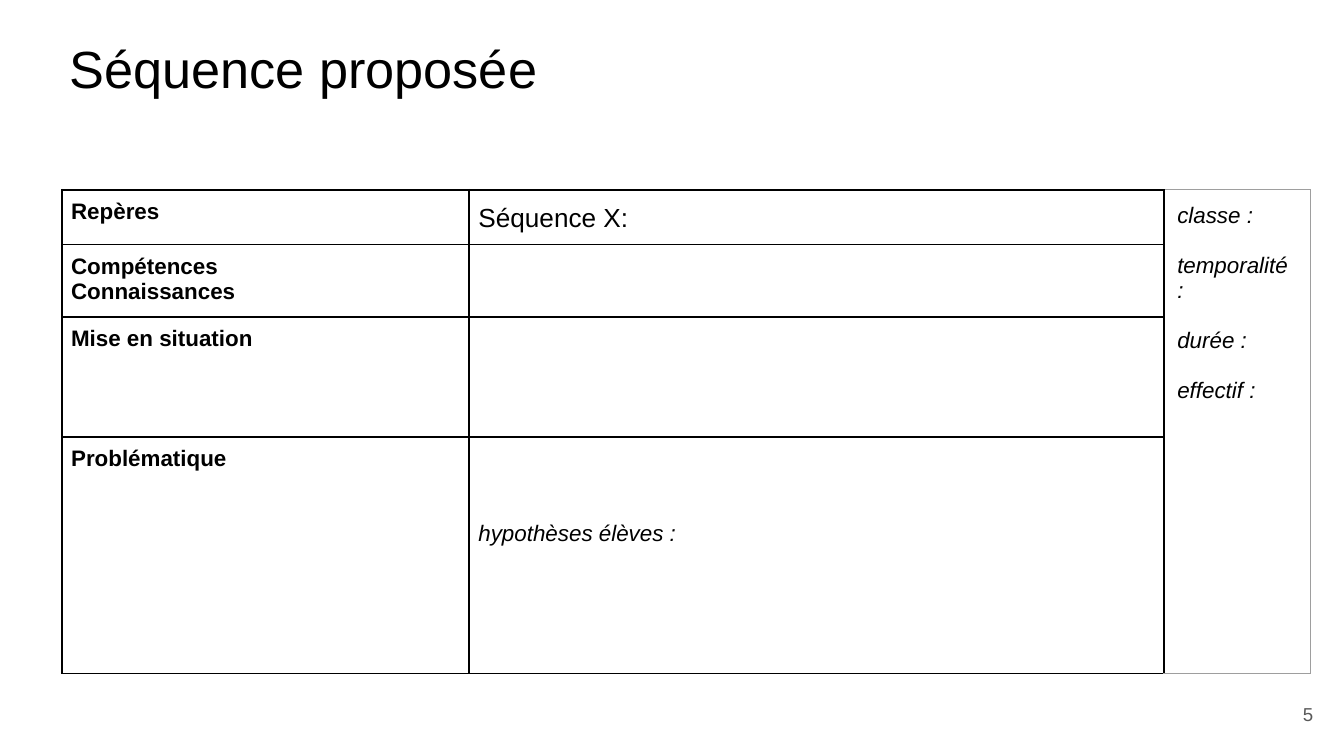
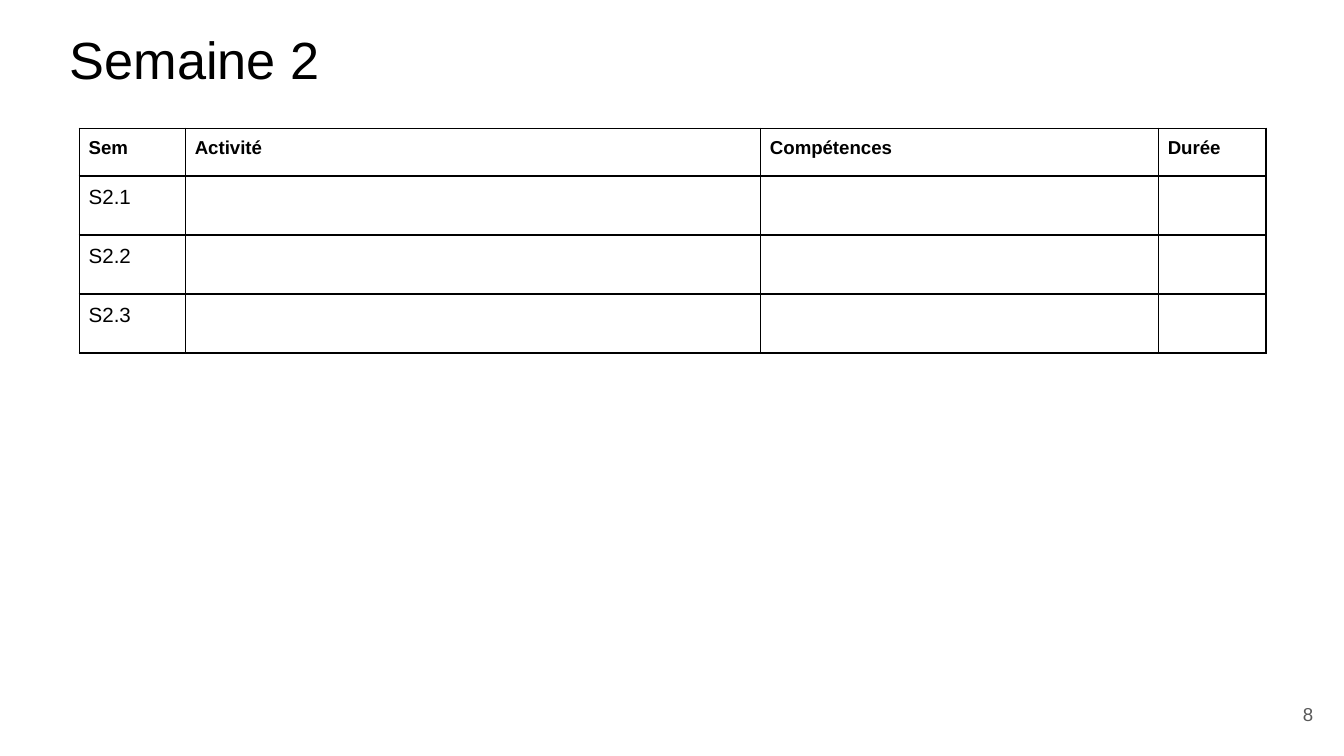
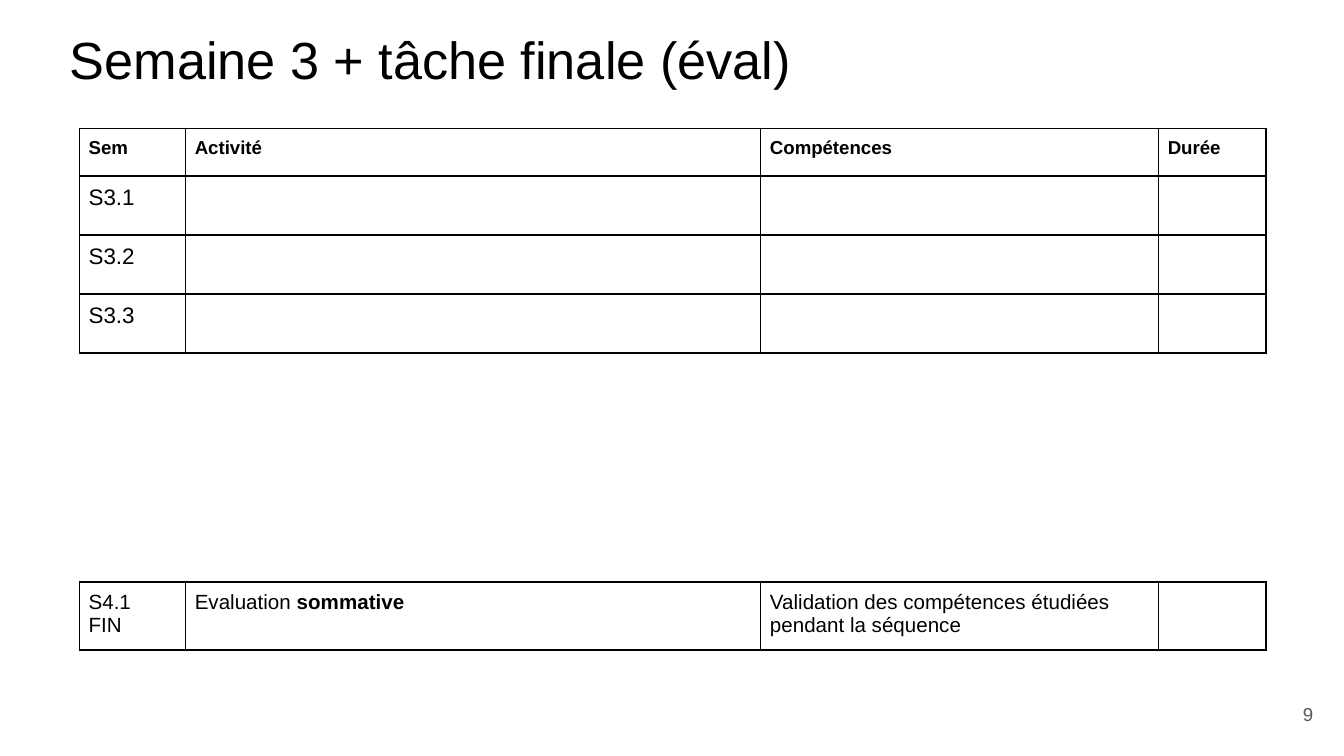
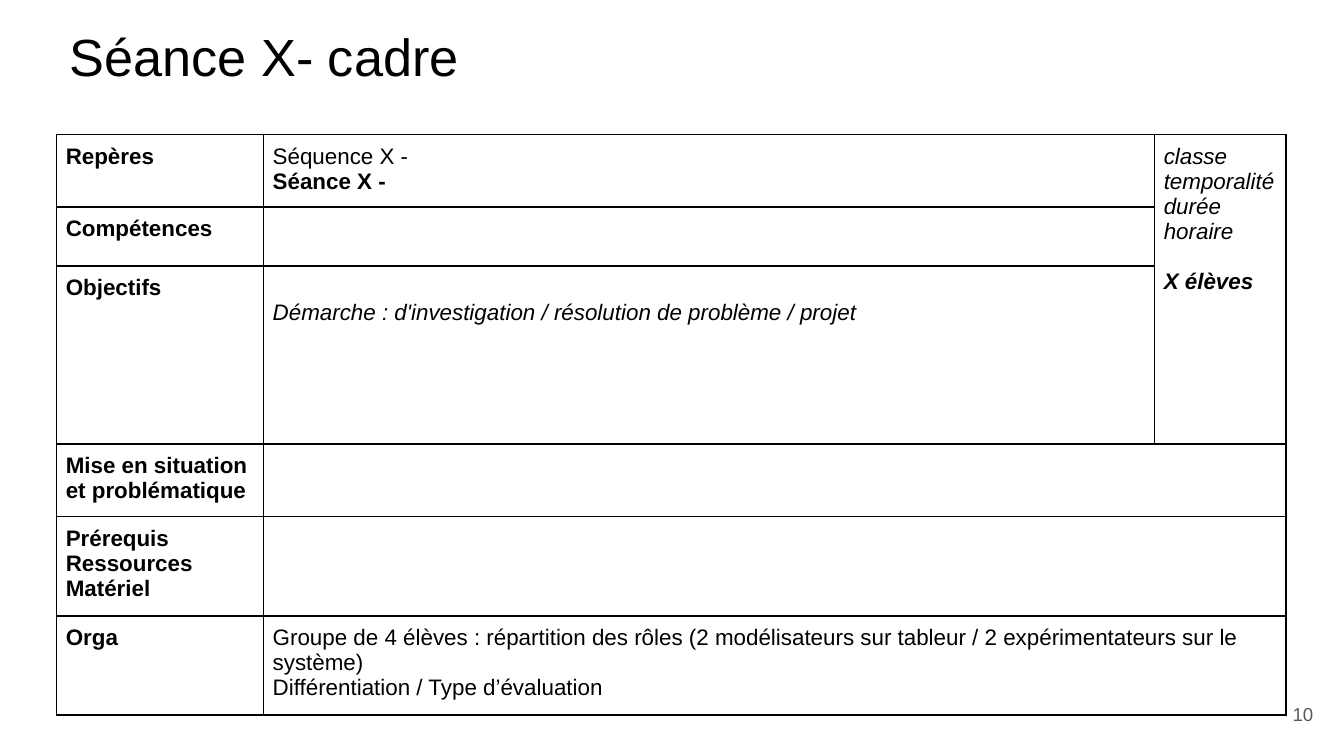
from dataclasses import dataclass

from lxml import etree
from pptx import Presentation
from pptx.dml.color import RGBColor
from pptx.enum.text import MSO_ANCHOR, PP_ALIGN
from pptx.oxml.ns import qn
from pptx.util import Inches, Pt

LEFT = PP_ALIGN.LEFT
RIGHT = PP_ALIGN.RIGHT
TOP = MSO_ANCHOR.TOP
MIDDLE = MSO_ANCHOR.MIDDLE

SLIDE_WIDTH = Inches(10)
SLIDE_HEIGHT = Inches(5.625)
BLANK_LAYOUT = 6


@dataclass(frozen=True)
class Theme:
    font: str = "Arial"
    ink: str = "000000"
    muted: str = "595959"
    pale_line: str = "9E9E9E"
    background: str = "FFFFFF"
    title: float = 28
    lead: float = 14
    body: float = 12
    small: float = 11
    caption: float = 10
    line: float = 1
    thin_line: float = 0.75
    cell_inset: float = 5
    box_inset: float = 7.2
    body_line: float = 13.4


THEME = Theme()


@dataclass(frozen=True)
class Run:
    text: str
    bold: bool = False
    italic: bool = False


@dataclass(frozen=True)
class Line:
    """One paragraph; gap is the space before it, in points."""
    runs: tuple[Run, ...]
    size: float = THEME.body
    gap: float = 0
    spacing: float = 1
    color: str = THEME.ink
    align: PP_ALIGN = LEFT


@dataclass(frozen=True)
class Cell:
    """Table cell; drop lowers its text by some points."""
    lines: tuple[Line, ...] = ()
    row_span: int = 1
    column_span: int = 1
    inset: float = THEME.cell_inset
    drop: float = 0
    pale: bool = False


@dataclass(frozen=True)
class Area:
    """Place in percent of the slide's width and height."""
    left: float
    top: float
    width: float
    height: float


@dataclass(frozen=True)
class Grid:
    """Table with sizes in percent of the slide; cells are keyed by row and column."""
    left: float
    top: float
    columns: tuple[float, ...]
    rows: tuple[float, ...]
    cells: dict[tuple[int, int], Cell]


@dataclass(frozen=True)
class Page:
    title: str
    title_top: float
    number: int
    grids: tuple[Grid, ...]


def across(percent: float) -> int:
    return round(SLIDE_WIDTH * percent / 100)


def down(percent: float) -> int:
    return round(SLIDE_HEIGHT * percent / 100)


def plain(text: str, size: float = THEME.body, gap: float = 0, spacing: float = 1) -> Line:
    return Line((Run(text),), size, gap, spacing)


def strong(text: str, size: float = THEME.body) -> Line:
    return Line((Run(text, bold=True),), size)


def slanted(text: str, gap: float = 0, bold: bool = False) -> Line:
    return Line((Run(text, bold, True),), gap=gap)


def label_column(*labels: tuple[str, ...]) -> dict[tuple[int, int], Cell]:
    return {(row, 0): Cell(tuple(map(strong, texts))) for row, texts in enumerate(labels)}


def write_lines(frame, lines: tuple[Line, ...]) -> None:
    for index, line in enumerate(lines):
        paragraph = frame.add_paragraph() if index else frame.paragraphs[0]
        paragraph.alignment = line.align
        paragraph.line_spacing = line.spacing
        paragraph.space_before = Pt(line.gap)
        for part in line.runs:
            run = paragraph.add_run()
            run.text = part.text
            run.font.name = THEME.font
            run.font.size = Pt(line.size)
            run.font.bold = part.bold
            run.font.italic = part.italic
            run.font.color.rgb = RGBColor.from_string(line.color)


def set_insets(target, inset: float, drop: float = 0) -> None:
    target.margin_left = target.margin_right = target.margin_bottom = Pt(inset)
    target.margin_top = Pt(inset + drop)


def add_text(slide, area: Area, line: Line, anchor: MSO_ANCHOR = TOP) -> None:
    box = slide.shapes.add_textbox(
        across(area.left), down(area.top), across(area.width), down(area.height))
    frame = box.text_frame
    frame.word_wrap = True
    frame.vertical_anchor = anchor
    set_insets(frame, THEME.box_inset)
    write_lines(frame, (line,))


def draw_borders(cell, pale: bool) -> None:
    """Border all four sides; a pale cell keeps a dark left side only."""
    properties = cell._tc.get_or_add_tcPr()
    for position, side in enumerate(("lnL", "lnR", "lnT", "lnB")):
        light = pale and side != "lnL"
        border = etree.Element(qn(f"a:{side}"))
        border.set("w", str(Pt(THEME.thin_line if light else THEME.line)))
        fill = etree.SubElement(border, qn("a:solidFill"))
        color = etree.SubElement(fill, qn("a:srgbClr"))
        color.set("val", THEME.pale_line if light else THEME.ink)
        properties.insert(position, border)


def add_grid(slide, grid: Grid) -> None:
    table = slide.shapes.add_table(
        len(grid.rows), len(grid.columns), across(grid.left), down(grid.top),
        across(sum(grid.columns)), down(sum(grid.rows))).table
    table.first_row = table.horz_banding = False
    for column, width in zip(table.columns, grid.columns):
        column.width = across(width)
    for row, height in zip(table.rows, grid.rows):
        row.height = down(height)

    pale_places = set()
    for (row, column), content in grid.cells.items():
        cell = table.cell(row, column)
        last_row = row + content.row_span - 1
        last_column = column + content.column_span - 1
        if (last_row, last_column) != (row, column):
            cell.merge(table.cell(last_row, last_column))
        if content.pale:
            pale_places |= {(place, column) for place in range(row, last_row + 1)}

    for row in range(len(grid.rows)):
        for column in range(len(grid.columns)):
            cell = table.cell(row, column)
            content = grid.cells.get((row, column), Cell())
            cell.fill.background()
            set_insets(cell, content.inset, content.drop)
            draw_borders(cell, (row, column) in pale_places)
            write_lines(cell.text_frame, content.lines)


def add_page(presentation, page: Page) -> None:
    slide = presentation.slides.add_slide(presentation.slide_layouts[BLANK_LAYOUT])
    slide.background.fill.solid()
    slide.background.fill.fore_color.rgb = RGBColor.from_string(THEME.background)
    add_text(slide, Area(4.2, page.title_top, 91.5, 13.33), plain(page.title, THEME.title))
    for grid in page.grids:
        add_grid(slide, grid)
    number = Line((Run(str(page.number)),), THEME.caption, color=THEME.muted, align=RIGHT)
    add_text(slide, Area(92.7, 90.67, 6, 7.65), number, MIDDLE)


WEEK_LEFT = 5.9
WEEK_COLUMNS = (7.9, 42.8, 29.6, 8)
WEEK_HEADINGS = ("Sem", "Activité", "Compétences", "Durée")
SESSIONS_PER_WEEK = 3


def week_grid(week: int, session_size: float) -> Grid:
    cells = {(0, column): Cell((strong(heading, THEME.caption),))
             for column, heading in enumerate(WEEK_HEADINGS)}
    for session in range(1, SESSIONS_PER_WEEK + 1):
        cells[session, 0] = Cell((plain(f"S{week}.{session}", session_size),))
    return Grid(WEEK_LEFT, 17, WEEK_COLUMNS, (6.3,) + (7.47,) * SESSIONS_PER_WEEK, cells)


def sequence_grid() -> Grid:
    cells = label_column(("Repères",), ("Compétences", "Connaissances"),
                         ("Mise en situation",), ("Problématique",))
    details = ("classe :", "temporalité :", "durée :", "effectif :")
    cells[0, 1] = Cell((plain("Séquence X:", THEME.lead, spacing=1.15),))
    cells[0, 2] = Cell(
        tuple(slanted(text, THEME.body_line if index else 0)
              for index, text in enumerate(details)),
        row_span=4, inset=THEME.box_inset, pale=True)
    cells[3, 1] = Cell((slanted("hypothèses élèves :"),), drop=3 * THEME.body_line)
    return Grid(4.6, 25.1, (30.3, 51.7, 10.9), (6.9, 9.4, 15.9, 30.1), cells)


def evaluation_grid() -> Grid:
    size = THEME.small
    cells = {
        (0, 0): Cell((plain("S4.1", size), plain("FIN", size))),
        (0, 1): Cell((Line((Run("Evaluation "), Run("sommative", bold=True)), size),)),
        (0, 2): Cell((plain("Validation des compétences étudiées pendant la séquence", size),)),
    }
    return Grid(WEEK_LEFT, 76.98, WEEK_COLUMNS, (8.5,), cells)


def session_grid() -> Grid:
    cells = label_column(("Repères",), ("Compétences",), ("Objectifs",),
                         ("Mise en situation et problématique",),
                         ("Prérequis", "Ressources", "Matériel"), ("Orga",))
    cells[0, 1] = Cell((plain("Séquence X -"), strong("Séance X -")))
    cells[0, 2] = Cell(
        (slanted("classe"), slanted("temporalité"), slanted("durée horaire"),
         slanted("X élèves", THEME.body_line, bold=True)), row_span=3)
    cells[2, 1] = Cell(
        (slanted("Démarche : d'investigation / résolution de problème / projet"),),
        drop=THEME.body_line)
    cells[3, 1] = cells[4, 1] = Cell(column_span=2)
    cells[5, 1] = Cell(
        (plain("Groupe de 4 élèves : répartition des rôles (2 modélisateurs sur tableur"
               " / 2 expérimentateurs sur le système)"),
         plain("Différentiation / Type d’évaluation")), column_span=2)
    return Grid(4.2, 17.8, (15.4, 66.3, 9.8), (9.13, 7.47, 22.4, 9.13, 12.43, 12.43), cells)


def main() -> None:
    presentation = Presentation()
    presentation.slide_width = SLIDE_WIDTH
    presentation.slide_height = SLIDE_HEIGHT
    pages = (
        Page("Séquence proposée", 3, 5, (sequence_grid(),)),
        Page("Semaine 2", 1.8, 8, (week_grid(2, THEME.small),)),
        Page("Semaine 3 + tâche finale (éval)", 1.8, 9,
             (week_grid(3, THEME.body), evaluation_grid())),
        Page("Séance X- cadre", 1.4, 10, (session_grid(),)),
    )
    for page in pages:
        add_page(presentation, page)
    presentation.save("out.pptx")


if __name__ == "__main__":
    main()
